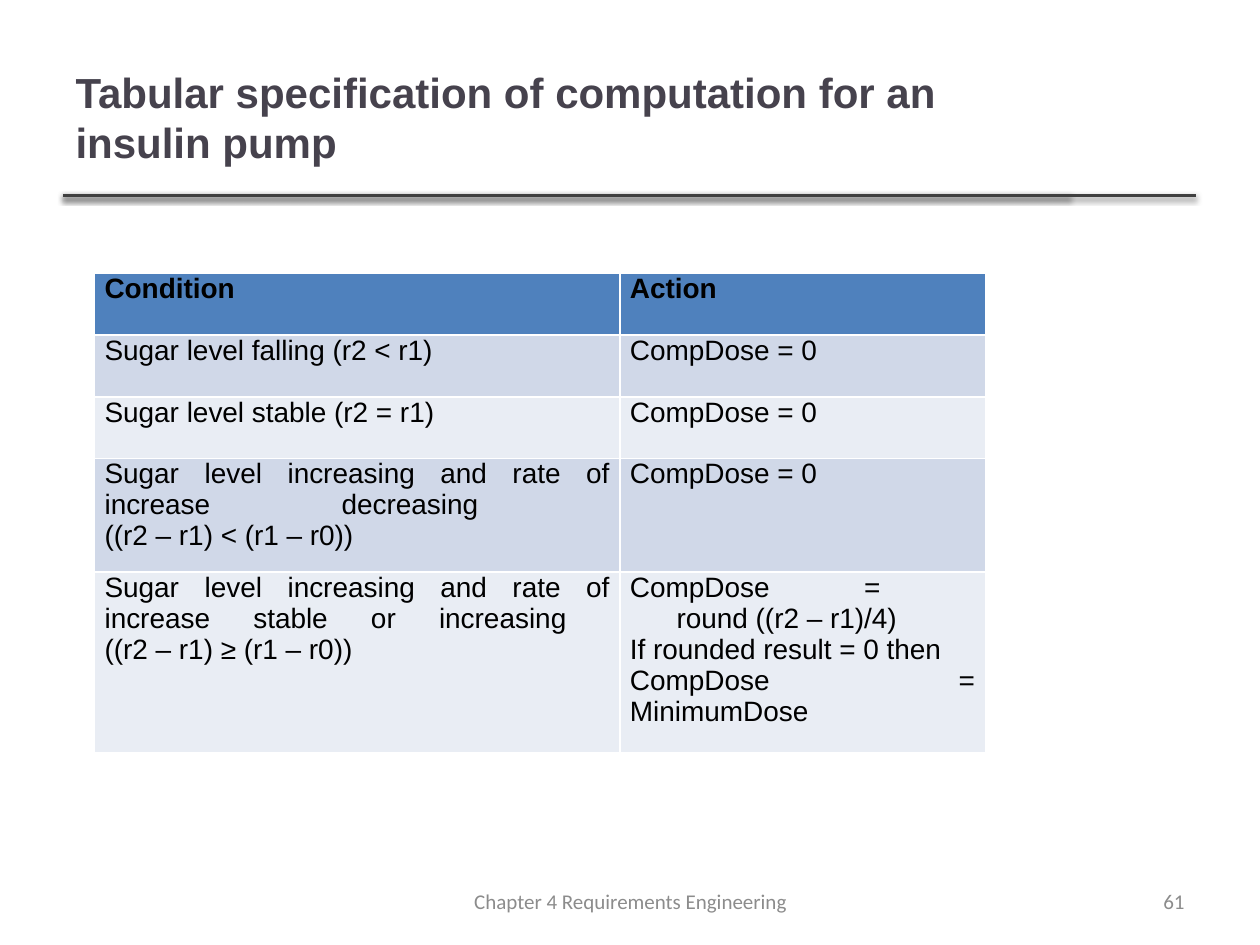
from lxml import etree
from pptx import Presentation
from pptx import util as u
from pptx.dml.color import RGBColor
from pptx.enum import shapes, text
from pptx.oxml import parse_xml
from pptx.oxml.ns import nsdecls

ALIGN = text.PP_ALIGN
ROWS = [
    ("Condition", "Action"),
    ("Sugar level falling (r2 < r1)", "CompDose = 0"),
    ("Sugar level stable (r2 = r1)", "CompDose = 0"),
    ("Sugar level increasing and rate of increase decreasing \v((r2 – r1) < (r1 – r0))",
     "CompDose = 0"),
    ("Sugar level increasing and rate of increase stable or increasing \v((r2 – r1) ≥ (r1 – r0))",
     "CompDose = \vround ((r2 – r1)/4)\nIf rounded result = 0 then\nCompDose = MinimumDose"),
]
COL_WIDTHS = [4.17, 2.9]
ROW_HEIGHTS = [0.49, 0.49, 0.49, 0.84, 1.33]
HEADER_FILL, BAND_FILLS = "4F81BD", ["E9EDF4", "D0D8E8"]


def rgb(value):
    """Turn a hex string into a colour."""
    return RGBColor.from_string(value)


def inches(*values):
    """Turn numbers into a list of lengths."""
    return [u.Inches(v) for v in values]


def add_text(p, content, size, font, color, bold=False, align=ALIGN.LEFT):
    """Fill a paragraph run by run, with a line break at each vertical tab."""
    p.alignment = align
    for i, line in enumerate(content.split("\v")):
        if i:
            p.add_line_break()
        r = p.add_run()
        r.text = line
        r.font.name, r.font.size, r.font.bold = font, u.Pt(size), bold
        r.font.color.rgb = rgb(color)


def add_title(s, box, content):
    """Place the slide title in its placeholder."""
    sp = s.shapes.title
    sp.left, sp.top, sp.width, sp.height = inches(*box)
    tf = sp.text_frame
    tf.word_wrap, tf.auto_size = True, text.MSO_AUTO_SIZE.NONE
    tf.vertical_anchor = text.MSO_ANCHOR.MIDDLE
    add_text(tf.paragraphs[0], content, 24, "Arial", "46424D", bold=True)


def add_rule(s, x, y, width):
    """Draw a horizontal rule with a soft shadow beneath it."""
    ln = s.shapes.add_connector(shapes.MSO_CONNECTOR.STRAIGHT, *inches(x, y, x + width, y))
    ln.line.color.rgb, ln.line.width = rgb("404040"), u.Pt(2)
    effects = etree.SubElement(ln._element.spPr, "{http://schemas.openxmlformats.org/drawingml/2006/main}effectLst")
    effects.append(parse_xml(
        f'<a:outerShdw {nsdecls("a")} blurRad="{u.Pt(3.1)}" dist="{u.Pt(1.6)}" dir="5400000" '
        'rotWithShape="0"><a:srgbClr val="000000"><a:alpha val="38000"/></a:srgbClr></a:outerShdw>'))


def add_footer(s, box, content, align):
    """Place one grey footer text."""
    tf = s.shapes.add_textbox(*inches(*box)).text_frame
    tf.word_wrap, tf.vertical_anchor = True, text.MSO_ANCHOR.MIDDLE
    add_text(tf.paragraphs[0], content, 12, "Calibri", "8C8C8C", align=align)


def fill_cell(cell, content, fill, bold):
    """Fill a table cell with justified text, hanging the lines after a break in the action."""
    cell.fill.solid()
    cell.fill.fore_color.rgb = rgb(fill)
    cell.margin_left, cell.margin_top, cell.margin_right, cell.margin_bottom = inches(0.08, 0, 0.08, 0.1)
    tf = cell.text_frame
    for i, line in enumerate(content.split("\n")):
        p = tf.add_paragraph() if i else tf.paragraphs[0]
        add_text(p, line, 16, "Arial", "000000", bold, ALIGN.JUSTIFY)
        if "\vround" in line:
            pPr = p._p.get_or_add_pPr()
            pPr.set("marL", str(u.Inches(0.37)))
            pPr.set("indent", str(-u.Inches(0.37)))


def add_spec_table(s, x, y):
    """Place the table of conditions and actions."""
    box = inches(x, y, sum(COL_WIDTHS), sum(ROW_HEIGHTS))
    table = s.shapes.add_table(len(ROWS), len(COL_WIDTHS), *box).table
    for col, width in zip(table.columns, COL_WIDTHS):
        col.width = u.Inches(width)
    for i, (row, height) in enumerate(zip(table.rows, ROW_HEIGHTS)):
        row.height = u.Inches(height)
        fill = BAND_FILLS[i % 2] if i else HEADER_FILL
        for cell, content in zip(row.cells, ROWS[i]):
            fill_cell(cell, content, fill, bold=i == 0)


def main():
    """Build the slide and save it."""
    prs = Presentation()
    prs.slide_width, prs.slide_height = inches(10, 7.5)
    s = prs.slides.add_slide(prs.slide_layouts[5])
    for width in (7.99, 8.99):
        add_rule(s, 0.5, 1.55, width)
    add_title(s, (0.5, 0.3, 7.98, 1.25), "Tabular specification of computation for an insulin pump")
    add_footer(s, (3.42, 6.95, 3.17, 0.4), "Chapter 4 Requirements Engineering", ALIGN.CENTER)
    add_footer(s, (7.17, 6.95, 2.33, 0.4), "61", ALIGN.RIGHT)
    add_spec_table(s, 0.75, 2.17)
    prs.save("out.pptx")


if __name__ == "__main__":
    main()
